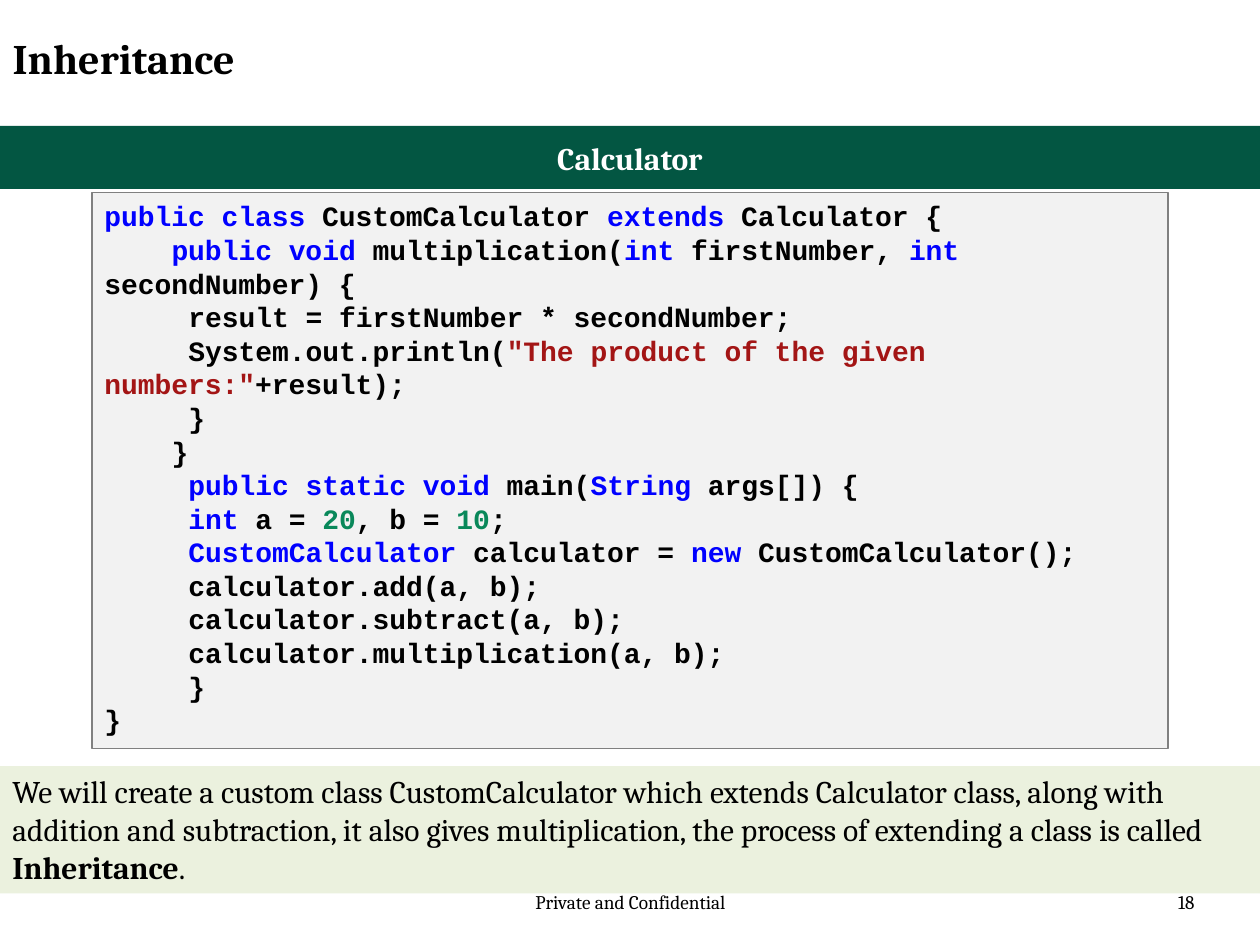
import pptx
import pptx.dml.color
import pptx.enum.shapes
import pptx.enum.text
import pptx.util

Inches = pptx.util.Inches
ALIGN = pptx.enum.text.PP_ALIGN
ANCHOR = pptx.enum.text.MSO_ANCHOR

COLORS = {
    "text": "000000",
    "white": "FFFFFF",
    "banner": "035642",
    "note": "EBF1DE",
    "code": "F2F2F2",
    "border": "808080",
    "keyword": "0000FF",
    "string": "A31515",
    "number": "09885A",
}
CODE_SIZE = 16
CHARACTER_WIDTH = 0.6 * CODE_SIZE / 72

CODE_LINES = [
    (0, [("public class", "keyword"), (" CustomCalculator ", "text"),
         ("extends", "keyword"), (" Calculator {", "text")]),
    (4, [("public void", "keyword"), (" multiplication(", "text"), ("int", "keyword"),
         (" firstNumber, ", "text"), ("int", "keyword"), (" secondNumber) {", "text")]),
    (5, [("result = firstNumber * secondNumber;", "text")]),
    (5, [("System.out.println(", "text"),
         ("\"The product of the given numbers:\"", "string"), ("+result);", "text")]),
    (5, [("}", "text")]),
    (4, [("}", "text")]),
    (5, [("public static void", "keyword"), (" main(", "text"),
         ("String", "keyword"), (" args[]) {", "text")]),
    (5, [("int", "keyword"), (" a = ", "text"), ("20", "number"),
         (", b = ", "text"), ("10", "number"), (";", "text")]),
    (5, [("CustomCalculator", "keyword"), (" calculator = ", "text"),
         ("new", "keyword"), (" CustomCalculator();", "text")]),
    (5, [("calculator.add(a, b);", "text")]),
    (5, [("calculator.subtract(a, b);", "text")]),
    (5, [("calculator.multiplication(a, b);", "text")]),
    (5, [("}", "text")]),
    (0, [("}", "text")]),
]


def rgb(name):
    return pptx.dml.color.RGBColor.from_string(COLORS[name])


def add_text(paragraph, text, size=18, font="Cambria", color="text", bold=False,
             align=ALIGN.LEFT):
    paragraph.alignment = align
    run = paragraph.add_run()
    run.text = text
    run.font.name = font
    run.font.size = pptx.util.Pt(size)
    run.font.bold = bold
    run.font.color.rgb = rgb(color)


def prepare_frame(shape, anchor=ANCHOR.TOP):
    frame = shape.text_frame
    frame.word_wrap = True
    frame.auto_size = pptx.enum.text.MSO_AUTO_SIZE.NONE
    frame.vertical_anchor = anchor
    return frame


def place(shape, box):
    shape.left, shape.top, shape.width, shape.height = map(Inches, box)


def add_panel(slide, box, fill, line=None):
    shape = slide.shapes.add_shape(
        pptx.enum.shapes.MSO_SHAPE.RECTANGLE, *map(Inches, box))
    shape.shadow.inherit = False
    shape.fill.solid()
    shape.fill.fore_color.rgb = rgb(fill)
    if line:
        shape.line.color.rgb = rgb(line)
        shape.line.width = pptx.util.Pt(0.75)
    else:
        shape.line.fill.background()
    return shape


def add_title(slide, box):
    title = slide.shapes.title
    place(title, box)
    paragraph = prepare_frame(title, ANCHOR.MIDDLE).paragraphs[0]
    paragraph.line_spacing = 0.9
    add_text(paragraph, "Inheritance", size=24, bold=True)


def add_banner(slide, box):
    frame = prepare_frame(add_panel(slide, box, "banner"), ANCHOR.MIDDLE)
    add_text(frame.paragraphs[0], "Calculator", color="white", bold=True,
             align=ALIGN.CENTER)


def add_code(slide, box):
    frame = prepare_frame(add_panel(slide, box, "code", "border"))
    for index, (indent, parts) in enumerate(CODE_LINES):
        paragraph = frame.add_paragraph() if index else frame.paragraphs[0]
        for text, color in parts:
            add_text(paragraph, text, size=CODE_SIZE, font="Courier New",
                     color=color, bold=True)
        properties = paragraph._p.get_or_add_pPr()
        properties.set("marL", "0")
        properties.set("indent", str(Inches(indent * CHARACTER_WIDTH)))


def add_note(slide, box):
    paragraph = prepare_frame(add_panel(slide, box, "note")).paragraphs[0]
    add_text(paragraph, "We will create a custom class CustomCalculator which extends "
             "Calculator class, along with addition and subtraction, it also gives "
             "multiplication, the process of extending a class is called ")
    add_text(paragraph, "Inheritance", bold=True)
    add_text(paragraph, ".")


def add_footer(slide, box, text, align):
    frame = prepare_frame(slide.shapes.add_textbox(*map(Inches, box)))
    add_text(frame.paragraphs[0], text, size=11, align=align)


def main():
    presentation = pptx.Presentation()
    presentation.slide_width = Inches(10)
    presentation.slide_height = Inches(7.5)
    slide = presentation.slides.add_slide(presentation.slide_layouts[5])
    add_footer(slide, (3.42, 7.02, 3.17, 0.4), "Private and Confidential", ALIGN.CENTER)
    add_footer(slide, (7.25, 7.02, 2.33, 0.4), "18", ALIGN.RIGHT)
    add_title(slide, (0, 0.17, 7.58, 0.62))
    add_note(slide, (0, 6.08, 10, 1.01))
    add_code(slide, (0.73, 1.53, 8.54, 4.41))
    add_banner(slide, (0, 1, 10, 0.5))
    presentation.save("out.pptx")


if __name__ == "__main__":
    main()
